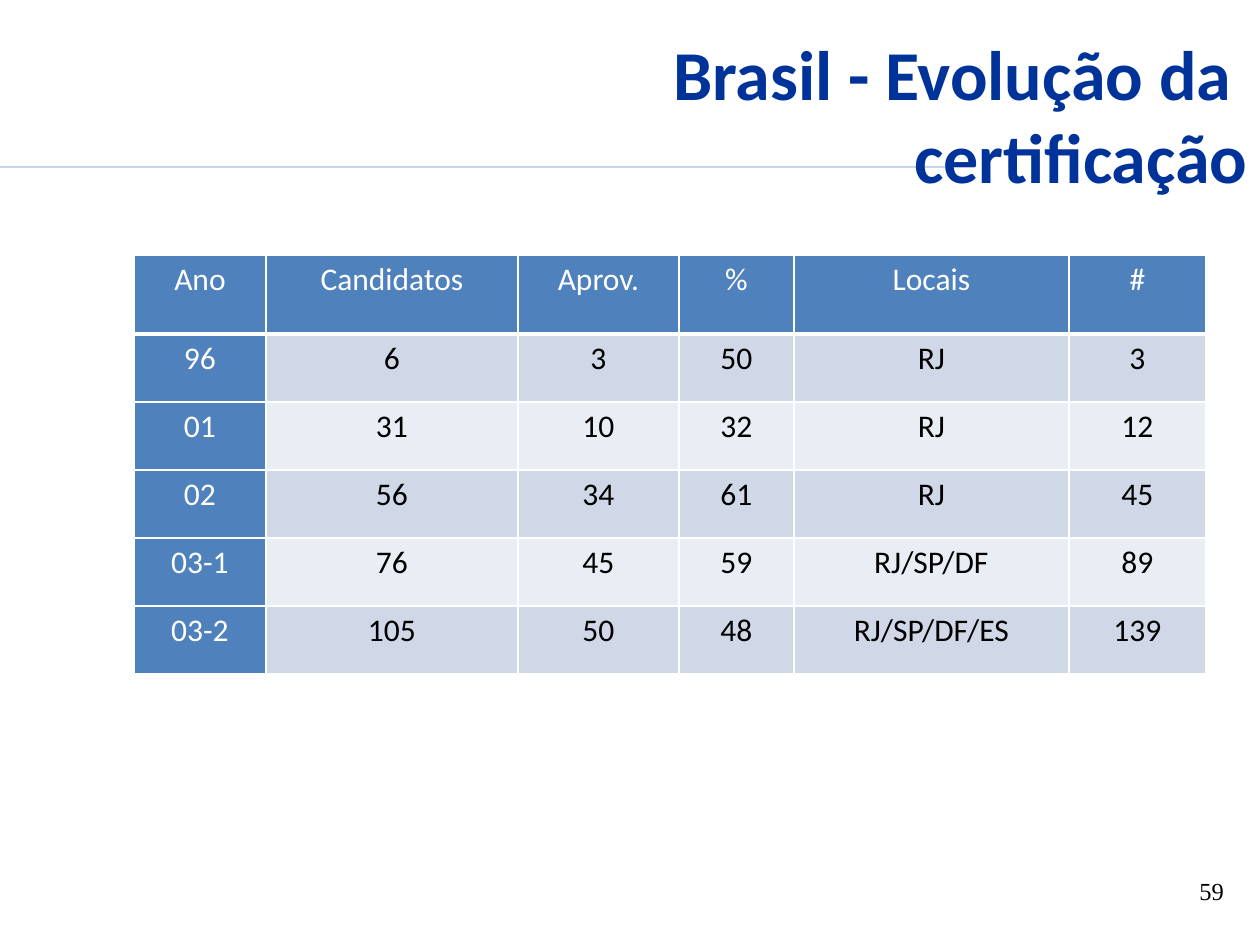
from lxml.etree import SubElement
from pptx import Presentation
from pptx.dml.color import RGBColor
from pptx.enum.shapes import MSO_CONNECTOR as Connector
from pptx.enum.text import MSO_ANCHOR as Anchor, MSO_AUTO_SIZE as AutoSize, PP_ALIGN as Align
from pptx.oxml.ns import qn
from pptx.util import Pt

SCALE = 914400 / 126
COLOURS = {
    "title": "003399",
    "rule": "C4D6EB",
    "head": "4F81BD",
    "odd": "D0D8E8",
    "even": "E9EDF4",
    "white": "FFFFFF",
    "black": "000000",
}
COLUMN_WIDTHS = [132, 252, 161, 115, 275, 137]
ROW_HEIGHTS = [79] + [68] * 5
RESULTS = [
    ["Ano", "Candidatos", "Aprov.", "%", "Locais", "#"],
    ["96", "6", "3", "50", "RJ", "3"],
    ["01", "31", "10", "32", "RJ", "12"],
    ["02", "56", "34", "61", "RJ", "45"],
    ["03-1", "76", "45", "59", "RJ/SP/DF", "89"],
    ["03-2", "105", "50", "48", "RJ/SP/DF/ES", "139"],
]


def px(length):
    return round(length * SCALE)


def colour(name):
    return RGBColor.from_string(COLOURS[name])


class SlideBuilder:
    def __init__(self, page):
        self.page = page

    def style(self, paragraph, size, ink, face="Calibri", bold=False, align=Align.LEFT):
        paragraph.alignment = align
        font = paragraph.font
        font.name, font.size, font.bold = face, Pt(size), bold
        font.color.rgb = colour(ink)

    def rule(self, left, top, right):
        line = self.page.shapes.add_connector(
            Connector.STRAIGHT, px(left), px(top), px(right), px(top))
        line.line.color.rgb = colour("rule")
        line.line.width = Pt(0.75)
        SubElement(line._element.spPr, qn("a:effectLst"))

    def title(self, text, left, top, width, height):
        title = self.page.shapes.title
        title.left, title.top, title.width, title.height = map(px, (left, top, width, height))
        frame = title.text_frame
        frame.text = text
        frame.word_wrap = True
        frame.auto_size = AutoSize.NONE
        frame.vertical_anchor = Anchor.MIDDLE
        self.style(frame.paragraphs[0], 40, "title", bold=True, align=Align.RIGHT)
        self.page.shapes.element.append(title.element)

    def page_number(self, text, left, top, width, height):
        box = self.page.shapes.add_textbox(*map(px, (left, top, width, height)))
        box.text_frame.word_wrap = True
        box.text_frame.text = text
        self.style(box.text_frame.paragraphs[0], 14, "black", face="Times New Roman")

    def borders(self, cell, bottom):
        properties = cell._tc.get_or_add_tcPr()
        for index, (side, width) in enumerate(
                [("lnL", 1), ("lnR", 1), ("lnT", 1), ("lnB", bottom)]):
            edge = properties.makeelement(qn(f"a:{side}"), {"w": str(Pt(width))})
            fill = SubElement(edge, qn("a:solidFill"))
            SubElement(fill, qn("a:srgbClr"), val=COLOURS["white"])
            properties.insert(index, edge)

    def cell(self, cell, text, fill, ink, bottom):
        cell.fill.solid()
        cell.fill.fore_color.rgb = colour(fill)
        cell.margin_left = cell.margin_right = px(10)
        cell.margin_top = cell.margin_bottom = 0
        cell.text = text
        paragraph = cell.text_frame.paragraphs[0]
        paragraph.line_spacing = 1.15
        self.style(paragraph, 18, ink, align=Align.CENTER)
        self.borders(cell, bottom)

    def table(self, rows, left, top, widths, heights):
        table = self.page.shapes.add_table(
            len(rows), len(widths), px(left), px(top), px(sum(widths)), px(sum(heights))).table
        table.first_col = True
        for column, width in zip(table.columns, widths):
            column.width = px(width)
        for row, height in zip(table.rows, heights):
            row.height = px(height)
        for r, values in enumerate(rows):
            for c, text in enumerate(values):
                heading = r == 0 or c == 0
                fill = "head" if heading else "odd" if r % 2 else "even"
                ink = "white" if heading else "black"
                self.cell(table.cell(r, c), text, fill, ink, 3 if r == 0 else 1)


def main():
    deck = Presentation()
    deck.slide_width, deck.slide_height = px(1260), px(945)
    builder = SlideBuilder(deck.slides.add_slide(deck.slide_layouts[5]))
    builder.rule(0, 167, 945)
    builder.page_number("59", 1187, 870, 63, 65)
    builder.title("Brasil - Evolução da \vcertificação", 39, 35, 1221, 158)
    builder.table(RESULTS, 134, 255, COLUMN_WIDTHS, ROW_HEIGHTS)
    deck.save("out.pptx")


if __name__ == "__main__":
    main()
